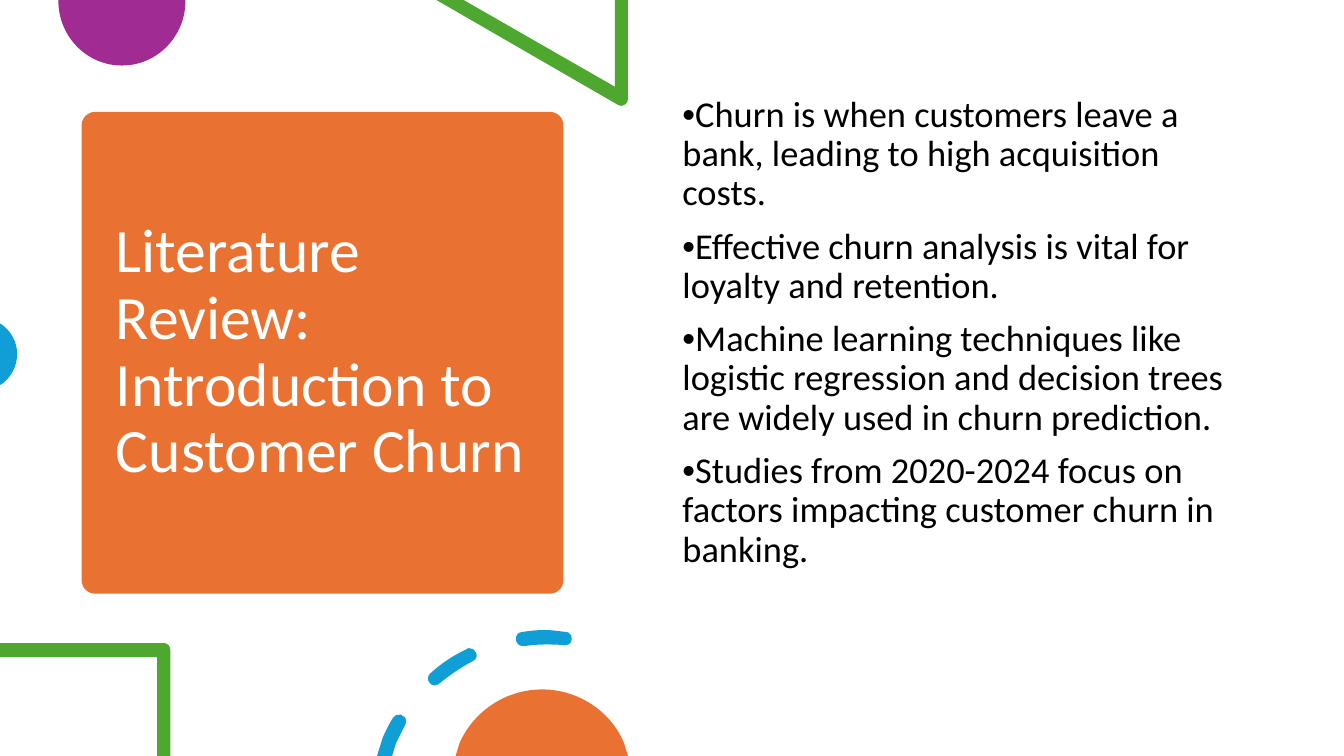
"""Build the customer churn literature review slide."""
from lxml import etree
from pptx import Presentation
from pptx import util as u
from pptx.dml.color import RGBColor
from pptx.enum import shapes, text
from pptx.oxml.ns import qn

PX = 9144
ORANGE, GREEN, BLUE = "E97132", "4EA72E", "0F9ED5"


def paint(fill, tone):
    """Make a fill solid in a hex colour."""
    fill.solid()
    fill.fore_color.rgb = RGBColor.from_string(tone)


deck = Presentation()
deck.slide_width, deck.slide_height = u.Inches(13.3333), u.Inches(7.5)
slide = deck.slides.add_slide(deck.slide_layouts[1])
title, body = slide.placeholders

card = slide.shapes.add_shape(
    shapes.MSO_SHAPE.ROUNDED_RECTANGLE, *(n * PX for n in (81, 111, 478, 478)))
card.adjustments[0] = 0.028
card.shadow.inherit = False
paint(card.fill, ORANGE)
card.line.fill.background()
title.element.addprevious(card.element)

frames = [
    (title, (105, 122, 431, 456), text.MSO_ANCHOR.MIDDLE),
    (body, (667, 90, 575, 535), text.MSO_ANCHOR.TOP),
]
for holder, place, anchor in frames:
    for name, size in zip(("left", "top", "width", "height"), place):
        setattr(holder, name, size * PX)
    form = {"word_wrap": True, "auto_size": text.MSO_AUTO_SIZE.NONE,
            "vertical_anchor": anchor}
    for name, value in form.items():
        setattr(holder.text_frame, name, value)

points = [
    "Churn is when customers leave a bank, leading to high acquisition costs.",
    "Effective churn analysis is vital for loyalty and retention.",
    "Machine learning techniques like logistic regression and decision trees "
    "are widely used in churn prediction.",
    "Studies from 2020-2024 focus on factors impacting customer churn in "
    "banking.",
]
heading = "Literature Review: Introduction to Customer Churn"
blocks = [(title, [[(heading, "Calibri")]], 44, 0, "FFFFFF"),
          (body, [[("•", "Arial"), (point, "Calibri")] for point in points],
           26, 10, "000000")]
for holder, rows, size, gap, tone in blocks:
    frame = holder.text_frame
    for k, row in enumerate(rows):
        para = frame.add_paragraph() if k else frame.paragraphs[0]
        form = {"alignment": text.PP_ALIGN.LEFT, "line_spacing": 0.9,
                "space_before": u.Pt(gap)}
        for name, value in form.items():
            setattr(para, name, value)
        for words, face in row:
            run = para.add_run()
            run.text = words
            form = {"name": face, "size": u.Pt(size)}
            for name, value in form.items():
                setattr(run.font, name, value)
            paint(run.font.fill, tone)
        props = para._p.get_or_add_pPr()
        props.set("marL", "0")
        props.set("indent", "0")
        etree.SubElement(props, qn("a:buNone"))

ball = [(184, 0), (58, 0), (58, 1), (58, 36, 86, 65, 121, 65),
        (156, 65, 184, 36, 184, 1)]
wedge = [(623, 0), (610, 0), (610, 86), (460, 0), (433, 0), (613, 104),
         (614, 105, 615, 105, 616, 105), (620, 105, 623, 102, 623, 98)]
bump = [(0, 321), (0, 382), (2, 381), (11, 374, 17, 364, 17, 351),
        (17, 339, 11, 329, 2, 322)]
corner = [(163, 638), (0, 638), (0, 652), (156, 652), (156, 750), (169, 750),
          (169, 645), (169, 641, 166, 638, 163, 638)]
dashes = [
    [(397, 709), (394, 708, 392, 710, 390, 712),
     (386, 718, 383, 725, 380, 731), (374, 750), (389, 750), (393, 737),
     (396, 731, 399, 725, 402, 719), (404, 716, 403, 711, 399, 710),
     (399, 709, 398, 709, 397, 709)],
    [(465, 643), (465, 643, 464, 643, 463, 644),
     (450, 650, 438, 658, 427, 668), (424, 670, 424, 675, 426, 677),
     (427, 679, 429, 680, 431, 680), (431, 680),
     (433, 680, 435, 679, 436, 678), (446, 670, 457, 662, 469, 656),
     (473, 654, 474, 650, 472, 647), (471, 644, 468, 643, 465, 643)],
    [(540, 625), (532, 625, 525, 626, 518, 627),
     (514, 627, 511, 631, 512, 635), (512, 638, 515, 641, 519, 641),
     (519, 641, 519, 641, 520, 641), (533, 639, 546, 639, 560, 640),
     (563, 641, 567, 638, 567, 635), (568, 631, 565, 627, 562, 627),
     (562, 627, 561, 627, 561, 627), (554, 626, 547, 625, 540, 625)],
]
dome = [(538, 684), (501, 684, 470, 706, 456, 737), (452, 750), (623, 750),
        (619, 737), (606, 706, 574, 684, 538, 684)]
art = [("A02B93", [ball]), (GREEN, [wedge]), (BLUE, [bump]),
       (GREEN, [corner]), (BLUE, dashes), (ORANGE, [dome])]
for tone, loops in art:
    pen = None
    for first, *steps in loops:
        start = [n * PX for n in first]
        if pen:
            pen.move_to(*start)
        else:
            pen = slide.shapes.build_freeform(*start, scale=1.0)
        spots = [(step[k] * PX, step[k + 1] * PX)
                 for step in steps for k in range(0, len(step), 2)]
        pen.add_line_segments(spots, close=True)
    shape = pen.convert_to_shape()
    lines = iter(list(shape.element.iter(qn("a:lnTo"))))
    for step in (step for loop in loops for step in loop[1:]):
        line = next(lines)
        if len(step) == 6:
            curve = etree.Element(qn("a:cubicBezTo"))
            line.addprevious(curve)
            for part in (line, next(lines), next(lines)):
                curve.append(part[0])
                part.getparent().remove(part)
    shape.shadow.inherit = False
    paint(shape.fill, tone)
    shape.line.fill.background()

deck.save("out.pptx")
